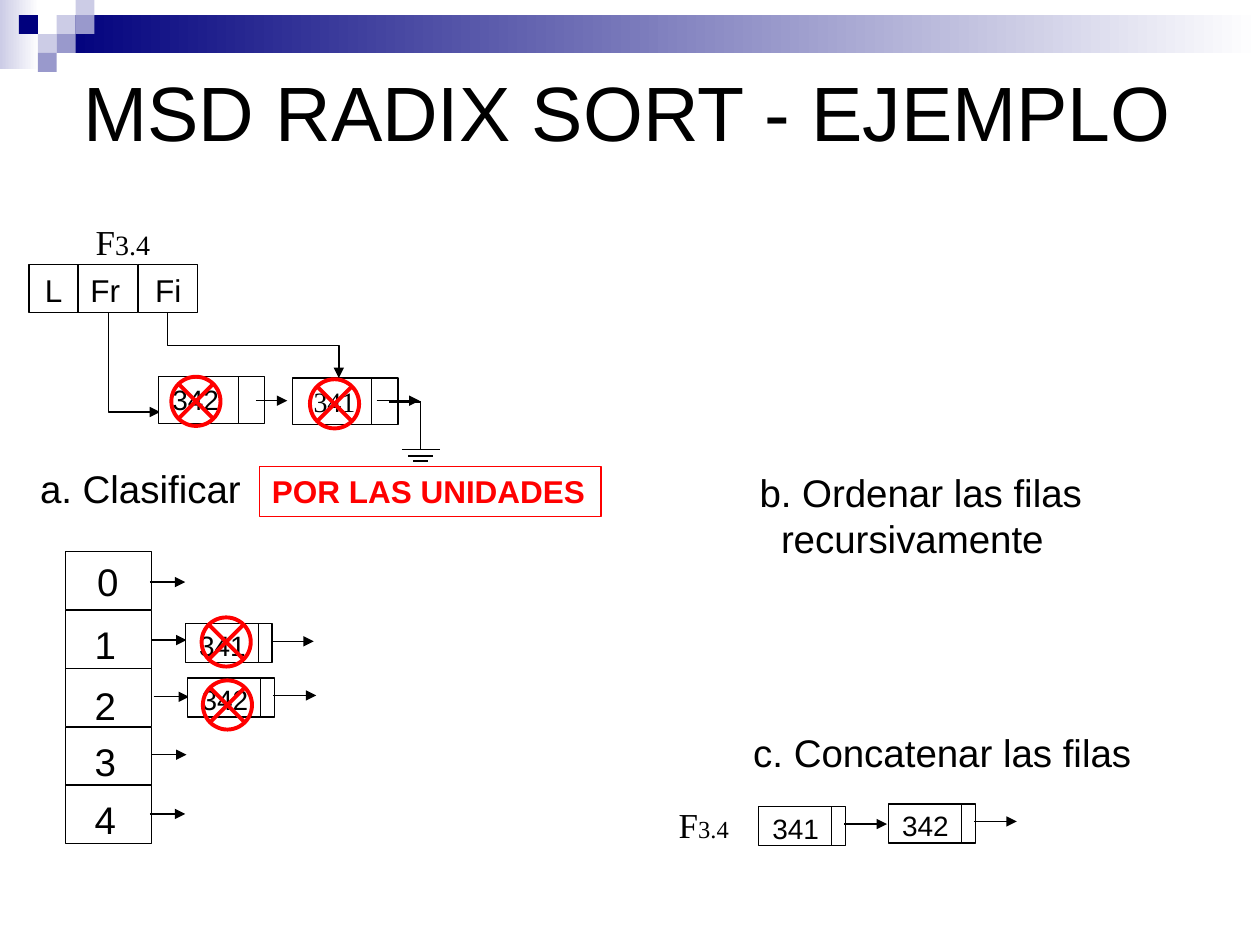
"""Build the MSD radix sort example slide."""
from lxml import etree
from pptx import Presentation
from pptx.dml.color import RGBColor
from pptx.enum.shapes import MSO_CONNECTOR, MSO_SHAPE
from pptx.enum.text import MSO_ANCHOR, PP_ALIGN
from pptx.oxml.ns import qn
from pptx.util import Inches, Pt

RECT = MSO_SHAPE.RECTANGLE
CROSS = MSO_SHAPE.FLOWCHART_SUMMING_JUNCTION
LINE, ELBOW = MSO_CONNECTOR.STRAIGHT, MSO_CONNECTOR.ELBOW
LEFT, MID = PP_ALIGN.LEFT, PP_ALIGN.CENTER
TOP, CENTER = MSO_ANCHOR.TOP, MSO_ANCHOR.MIDDLE
color = RGBColor.from_string
BLACK, WHITE, RED = "000000", "FFFFFF", "FF0000"
NAVY, PALE, LILAC = "00007D", "CCCCE6", "9999CC"
SERIF = "Times New Roman"

deck = Presentation()
deck.slide_width, deck.slide_height = Inches(10), Inches(7.5)
slide = deck.slides.add_slide(deck.slide_layouts[5])
shapes = slide.shapes


def box(at, runs=(), kind=None, fill=None, edge=None, width=0.75,
        align=MID, face="Arial", ink=BLACK, bold=False):
    """Add a preset shape, or a text box when no kind is given."""
    place = [Inches(v) for v in at]
    if kind is None:
        item = shapes.add_textbox(*place)
    else:
        item = shapes.add_shape(kind, *place)
        item.shadow.inherit = False
        if fill:
            item.fill.solid()
            item.fill.fore_color.rgb = color(fill)
        else:
            item.fill.background()
        if edge:
            item.line.color.rgb = color(edge)
            item.line.width = Pt(width)
        else:
            item.line.fill.background()
    if runs:
        frame = item.text_frame
        frame.word_wrap, frame.vertical_anchor = True, TOP
        para = frame.paragraphs[0]
        para.alignment = align
        for text, size in runs:
            run = para.add_run()
            run.text = text
            look = {"name": face, "size": Pt(size), "bold": bold}
            for key, val in look.items():
                setattr(run.font, key, val)
            run.font.color.rgb = color(ink)
    return item


def link(x1, y1, x2, y2, head=True, width=0.75, bend=None):
    """Add a line; a bend names an elbow preset that leaves downwards."""
    if bend:
        mx, my, dx, dy = (x1 + x2) / 2, (y1 + y2) / 2, x2 - x1, y2 - y1
        x1, y1, x2, y2 = mx + dy / 2, my - dx / 2, mx - dy / 2, my + dx / 2
    item = shapes.add_connector(ELBOW if bend else LINE,
                                *[Inches(v) for v in (x1, y1, x2, y2)])
    item.line.color.rgb = color(BLACK)
    item.line.width = Pt(width)
    props = item._element.spPr
    if bend:
        props.find(qn("a:xfrm")).set("rot", str(270 * 60000))
        props.find(qn("a:prstGeom")).set("prst", bend)
    if head:
        etree.SubElement(props.find(qn("a:ln")), qn("a:tailEnd"), type="triangle")
    etree.SubElement(props, qn("a:effectLst"))


for at, tone in [((0, -0.03, 0.31, 0.58), PALE), ((0.45, 0.12, 9.55, 0.3), NAVY)]:
    band = box(at, kind=RECT)
    band.fill.gradient()
    band.fill.gradient_angle = 0
    for stop, shade, spot in zip(band.fill.gradient_stops, (tone, WHITE), (0, 1)):
        stop.color.rgb, stop.position = color(shade), spot

for col, row, tone in [(2, 1, PALE), (3, 0, PALE), (3, 1, LILAC), (1, 2, PALE),
                       (0, 1, NAVY), (2, 2, LILAC), (1, 3, LILAC)]:
    box((0.15 + 0.15 * col, -0.03 + 0.15 * row, 0.15, 0.15), kind=RECT, fill=tone)

title = shapes.title
spot = {"left": 0.56, "top": 0.13, "width": 9, "height": 1.5}
for key, val in spot.items():
    setattr(title, key, Inches(val))
title.text_frame.text = "MSD RADIX SORT - EJEMPLO"
title.text_frame.vertical_anchor = CENTER
para = title.text_frame.paragraphs[0]
para.alignment = LEFT
for key, val in {"name": "Arial", "size": Pt(44)}.items():
    setattr(para.font, key, val)
para.font.color.rgb = color(BLACK)

box((0.56, 1.7, 0.83, 0.57), [("F", 20), ("3.4", 16)], face=SERIF)
box((5.24, 6.33, 0.69, 0.57), [("F", 20), ("3.4", 14)], face=SERIF)

for x, wide, name, align in [(0.62, 0.47, "Fr", LEFT), (1.1, 0.47, "Fi", MID),
                             (0.23, 0.39, "L", MID)]:
    box((x, 2.1, wide, 0.38), [(name, 18)], RECT, WHITE, BLACK, align=align)
link(0.86, 2.48, 1.27, 3.27, bend="bentConnector2")
link(1.33, 2.48, 2.69, 3, bend="bentConnector3")

for x, y, shift, name, face in [(1.26, 2.99, 0.01, "342", "Arial"),
                                (2.32, 3, 0.07, "341", SERIF)]:
    box((x, y, 0.64, 0.37), kind=RECT, fill=WHITE, edge=BLACK)
    box((x + 0.63, y, 0.21, 0.37), kind=RECT, fill=WHITE, edge=BLACK)
    box((x + shift, y, 0.7, 0.56), [(name, 16)], align=LEFT, face=face)
link(2.03, 3.18, 2.28, 3.18)
link(2.99, 3.18, 3.33, 3.18)
link(3.09, 3.19, 3.34, 3.19, head=False)
link(3.34, 3.19, 3.34, 3.56, head=False, width=0.5)
for half, y in [(0.15, 3.57), (0.1, 3.62), (0.06, 3.66)]:
    link(3.34 - half, y, 3.34 + half, y, head=False)

box((0.22, 3.64, 1.84, 0.47), [("a. Clasificar", 22)], align=LEFT)
box((2.06, 3.7, 2.71, 0.4), [("POR LAS UNIDADES", 18)], RECT, edge=RED,
    align=LEFT, ink=RED, bold=True)
box((5.88, 5.74, 3.24, 0.47), [("c. Concatenar las filas", 22)], align=LEFT)
step = box((5.93, 3.67, 2.88, 0.84), [("b. Ordenar las filas", 22)], align=LEFT)
para = step.text_frame.add_paragraph()
para._p.get_or_add_pPr().set("marL", str(Inches(0.17)))
run = para.add_run()
run.text = "recursivamente"
for key, val in {"name": "Arial", "size": Pt(22)}.items():
    setattr(run.font, key, val)
run.font.color.rgb = color(BLACK)

starts = [(1.19, 4.62), (1.2, 5.08), (1.22, 5.53), (1.2, 5.99), (1.19, 6.46)]
tops = [4.38, 4.88, 5.36, 5.81, 6.27]
for digit, ((x, y), top) in enumerate(zip(starts, tops)):
    box((0.52, 4.38 + 0.464 * digit, 0.68, 0.46), kind=RECT, fill=WHITE, edge=BLACK)
    box((0.57 if digit == 0 else 0.55, top, 0.57, 0.39), [(str(digit), 22)])
    link(x, y, x + 0.28, y)

for x, y, name in [(1.49, 5.38, "342"), (1.47, 4.95, "341"),
                   (6.02, 6.4, "341"), (7.05, 6.38, "342")]:
    box((x, y, 0.58, 0.31), kind=RECT, fill=WHITE, edge=BLACK)
    box((x + 0.58, y, 0.11, 0.31), kind=RECT, fill=WHITE, edge=BLACK)
    link(x + 0.68, y + 0.14, x + 1.02, y + 0.14)
    box((x - 0.09, y - 0.01, 0.77, 0.43), [(name, 16)])

for x, y in [(1.36, 2.99), (2.46, 3.01), (1.6, 4.9), (1.61, 5.4)]:
    box((x, y, 0.39, 0.39), kind=CROSS, edge=RED, width=2.25)

deck.save("out.pptx")
